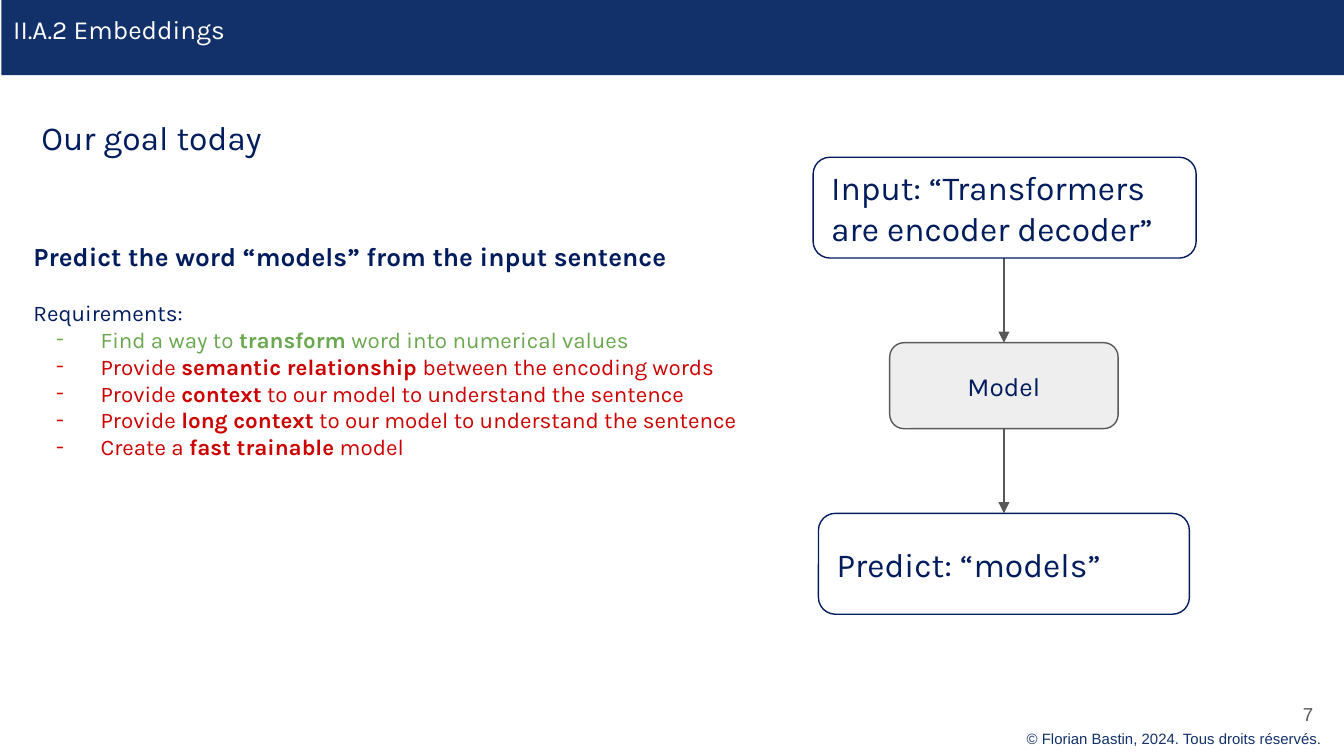
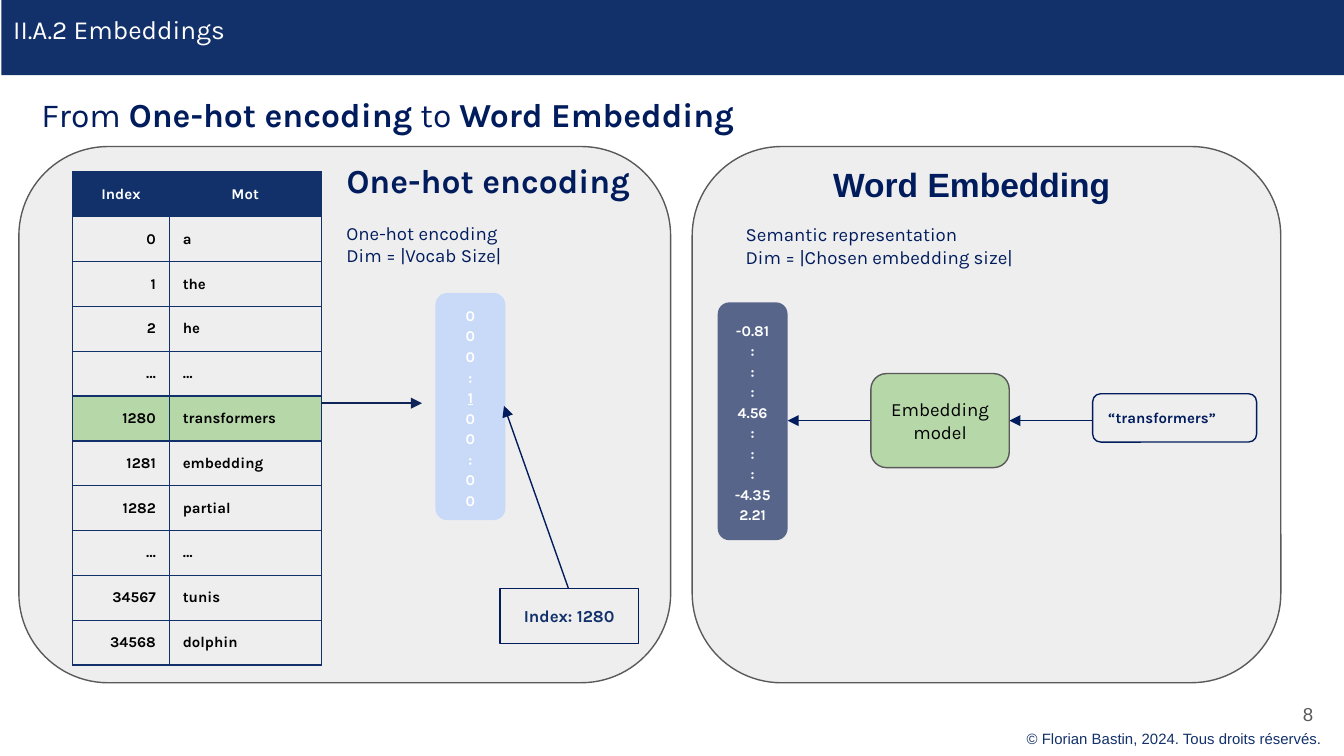
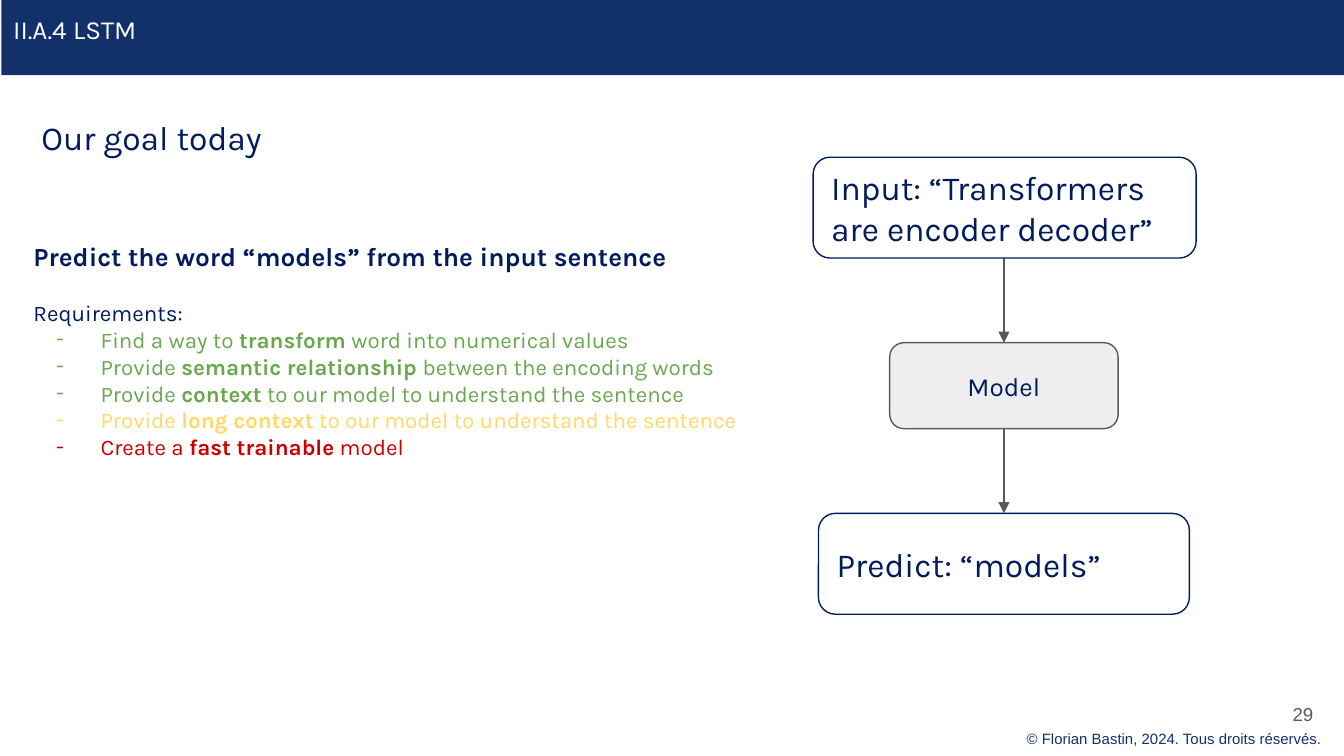
from lxml import etree
from pptx import Presentation
from pptx.dml.color import RGBColor
from pptx.enum.shapes import MSO_CONNECTOR, MSO_SHAPE
from pptx.enum.text import MSO_ANCHOR, PP_ALIGN
from pptx.oxml.ns import qn
from pptx.util import Inches, Pt

PX = 9144  # 100 px to the inch
SLIDE_WIDTH, SLIDE_HEIGHT = Inches(10), Inches(5.625)  # 16:9
MARGIN = 10
LINE_WIDTH = 0.75

BAND, NAVY, ARROW_NAVY = "12316A", "011C5D", "0E2356"
WHITE, BLACK, GRAY, PALE = "FFFFFF", "000000", "595959", "EEEEEE"
GREEN, YELLOW, RED = "6AA84F", "FFD966", "CC0000"
LIGHT_GREEN, LIGHT_BLUE, SLATE = "B6D7A8", "C9DAF8", "566589"

LEFT, CENTER, RIGHT = PP_ALIGN.LEFT, PP_ALIGN.CENTER, PP_ALIGN.RIGHT
TOP, MIDDLE = MSO_ANCHOR.TOP, MSO_ANCHOR.MIDDLE
ROUNDED, RECTANGLE = MSO_SHAPE.ROUNDED_RECTANGLE, MSO_SHAPE.RECTANGLE

# Content; **double stars** mark bold words
COPYRIGHT = "© Florian Bastin, 2024. Tous droits réservés."
GOAL = "Predict the word “models” from the input sentence"
REQUIREMENTS = [
    "Find a way to **transform** word into numerical values",
    "Provide **semantic relationship** between the encoding words",
    "Provide **context** to our model to understand the sentence",
    "Provide **long context** to our model to understand the sentence",
    "Create a **fast trainable** model",
]
VOCABULARY = [
    ("Index", "Mot"), ("0", "a"), ("1", "the"), ("2", "he"), ("…", "…"),
    ("1280", "transformers"), ("1281", "embedding"), ("1282", "partial"),
    ("…", "…"), ("34567", "tunis"), ("34568", "dolphin"),
]
CHOSEN_INDEX = "1280"
ONE_HOT_VECTOR = ["0", "0", "0", ":", "1", "0", "0", ":", "0", "0"]
EMBEDDING_VECTOR = ["-0.81", ":", ":", ":", "4.56", ":", ":", ":", "-4.35", "2.21"]


def rgb(color):
    return RGBColor.from_string(color)


def scaled(*lengths):
    return [length * PX for length in lengths]


# Text
def write_paragraph(paragraph, text, size, color=NAVY, bold=False, font="Karla", align=LEFT):
    paragraph.alignment = align
    paragraph.font.size = Pt(size)
    paragraph.font.name = font
    paragraph.font.color.rgb = rgb(color)
    paragraph.font.bold = bold
    for position, part in enumerate(text.split("**")):
        if part:
            run = paragraph.add_run()
            run.text = part
            if position % 2:
                run.font.bold = True


def prepare_frame(frame, anchor):
    frame.word_wrap = True
    frame.vertical_anchor = anchor
    frame.margin_left = frame.margin_right = frame.margin_top = MARGIN * PX
    # Text that starts at the top may run down to the lower edge
    frame.margin_bottom = 0 if anchor == TOP else MARGIN * PX


def write(shape, lines, size, anchor=MIDDLE, line_spacing=None, **style):
    frame = shape.text_frame
    prepare_frame(frame, anchor)
    for number, line in enumerate(lines):
        paragraph = frame.add_paragraph() if number else frame.paragraphs[0]
        if line_spacing:
            paragraph.line_spacing = line_spacing
        write_paragraph(paragraph, line, size, **style)


def add_text(slide, box, lines, size, anchor=TOP, **style):
    write(slide.shapes.add_textbox(*scaled(*box)), lines, size, anchor, **style)


def add_bullet(paragraph, color):
    properties = paragraph._p.get_or_add_pPr()
    properties.set("marL", str(50 * PX))
    properties.set("indent", str(-33 * PX))
    bullet_color = etree.SubElement(properties, qn("a:buClr"))
    etree.SubElement(bullet_color, qn("a:srgbClr"), val=color)
    etree.SubElement(properties, qn("a:buFont"), typeface="Karla")
    etree.SubElement(properties, qn("a:buChar"), char="-")


# Shapes and arrows
def add_box(slide, kind, box, fill=None, line=None):
    shape = slide.shapes.add_shape(kind, *scaled(*box))
    shape.shadow.inherit = False
    if fill:
        shape.fill.solid()
        shape.fill.fore_color.rgb = rgb(fill)
    else:
        shape.fill.background()
    if line:
        shape.line.color.rgb = rgb(line)
        shape.line.width = Pt(LINE_WIDTH)
    else:
        shape.line.fill.background()
    return shape


def add_arrow(slide, start, end, color=NAVY):
    arrow = slide.shapes.add_connector(MSO_CONNECTOR.STRAIGHT, *scaled(*start, *end))
    arrow.line.color.rgb = rgb(color)
    arrow.line.width = Pt(LINE_WIDTH)
    etree.SubElement(arrow.line._get_or_add_ln(), qn("a:tailEnd"), type="triangle")
    etree.SubElement(arrow._element.spPr, qn("a:effectLst"))


# Shared frame of every slide
def add_slide(presentation, title, number):
    slide = presentation.slides.add_slide(presentation.slide_layouts[6])
    add_box(slide, RECTANGLE, (1, 0, 999, 56), BAND)
    add_text(slide, (754, 533, 242, 30), [COPYRIGHT], 8, color=BAND, font="Arial")
    add_text(slide, (927, 510, 60, 43), [str(number)], 10, MIDDLE,
             color=GRAY, font="Arial", align=RIGHT)
    add_text(slide, (0, 0, 831, 56), [title], 14, color=WHITE)
    return slide


def add_subtitle(slide, top, text):
    add_text(slide, (21, top, 656, 66), [text], 18, MIDDLE)


# Goal slides
def add_requirements(slide, colors):
    frame = slide.shapes.add_textbox(*scaled(15, 169, 549, 224)).text_frame
    prepare_frame(frame, TOP)
    write_paragraph(frame.paragraphs[0], GOAL, 14, bold=True)
    heading = frame.add_paragraph()
    heading.space_before = Pt(14.5)
    write_paragraph(heading, "Requirements:", 12)
    for requirement, color in zip(REQUIREMENTS, colors):
        paragraph = frame.add_paragraph()
        add_bullet(paragraph, color)
        write_paragraph(paragraph, requirement, 12, color)


def add_model_flow(slide):
    center = 747
    for top, bottom in ((192, 255), (319, 382)):
        add_arrow(slide, (center, top), (center, bottom), GRAY)
    model = add_box(slide, ROUNDED, (662, 255, 170, 64), PALE, GRAY)
    write(model, ["Model"], 14, align=CENTER)
    for box, text in (
        ((605, 117, 285, 75), "Input: “Transformers are encoder decoder”"),
        ((609, 382, 276, 75), "Predict: “models”"),
    ):
        write(add_box(slide, ROUNDED, box, line=NAVY), [text], 18)


def add_goal_slide(presentation, title, number, colors):
    slide = add_slide(presentation, title, number)
    add_subtitle(slide, 69, "Our goal today")
    add_requirements(slide, colors)
    add_model_flow(slide)


# Embedding slide
def style_cell(cell, fill):
    properties = cell._tc.get_or_add_tcPr()
    for side in ("lnL", "lnR", "lnT", "lnB"):
        border = etree.SubElement(properties, qn(f"a:{side}"), w=str(Pt(LINE_WIDTH)))
        border_fill = etree.SubElement(border, qn("a:solidFill"))
        etree.SubElement(border_fill, qn("a:srgbClr"), val=BAND)
    if fill:
        cell.fill.solid()
        cell.fill.fore_color.rgb = rgb(fill)
    else:
        cell.fill.background()
    cell.vertical_anchor = MIDDLE
    cell.margin_left = cell.margin_right = MARGIN * PX
    cell.margin_top = cell.margin_bottom = MARGIN * PX


def add_vocabulary(slide):
    widths, header_height, row_height = (72, 113), 32, 33
    height = header_height + row_height * (len(VOCABULARY) - 1)
    table = slide.shapes.add_table(
        len(VOCABULARY), len(widths), *scaled(54, 128, sum(widths), height)).table
    for column, width in zip(table.columns, widths):
        column.width = width * PX
    for row_number, words in enumerate(VOCABULARY):
        is_header = row_number == 0
        table.rows[row_number].height = (header_height if is_header else row_height) * PX
        fill = BAND if is_header else LIGHT_GREEN if words[0] == CHOSEN_INDEX else None
        for column_number, word in enumerate(words):
            cell = table.cell(row_number, column_number)
            style_cell(cell, fill)
            align = CENTER if is_header else (RIGHT, LEFT)[column_number]
            write_paragraph(cell.text_frame.paragraphs[0], word, 8,
                            WHITE if is_header else BLACK, True, align=align)


def add_vector(slide, box, fill, values):
    vector = add_box(slide, ROUNDED, box, fill)
    write(vector, values, 8, line_spacing=1.15, color=WHITE, bold=True, align=CENTER)
    return vector


def add_embedding_slide(presentation, title, number):
    slide = add_slide(presentation, title, number)
    for left, width in ((14, 485), (515, 438)):
        add_box(slide, ROUNDED, (left, 109, width, 399), PALE, GRAY)
    add_subtitle(slide, 52, "From **One-hot encoding** to **Word Embedding**")

    # One-hot side
    add_vocabulary(slide)
    add_arrow(slide, (239, 300), (314, 300), ARROW_NAVY)
    one_hot = add_vector(slide, (324, 218, 52, 169), LIGHT_BLUE, ONE_HOT_VECTOR)
    hot_paragraph = one_hot.text_frame.paragraphs[ONE_HOT_VECTOR.index("1")]
    hot_paragraph.runs[0].font.underline = True
    index_box = add_box(slide, RECTANGLE, (372, 438, 103, 41), line=NAVY)
    write(index_box, [f"Index: {CHOSEN_INDEX}"], 9, color=BAND, bold=True, align=CENTER)
    add_arrow(slide, (423, 438), (375, 302))

    # Embedding side, read from right to left
    add_vector(slide, (534, 225, 52, 177), SLATE, EMBEDDING_VECTOR)
    for start, end in ((813, 751), (648, 586)):
        add_arrow(slide, (start, 313), (end, 313))
    model = add_box(slide, ROUNDED, (648, 278, 103, 70), LIGHT_GREEN, GRAY)
    write(model, ["Embedding model"], 10, color=BLACK, align=CENTER)
    word = add_box(slide, ROUNDED, (813, 293, 122, 36), PALE, NAVY)
    write(word, ["“transformers”"], 8, bold=True)

    # Headings and dimensions
    add_text(slide, (248, 109, 268, 36), ["One-hot encoding"], 18, bold=True)
    add_text(slide, (610, 112, 268, 36), ["Word Embedding"], 18, bold=True, font="Arial")
    add_text(slide, (248, 155, 216, 61), ["One-hot encoding", "Dim = |Vocab Size|"], 10)
    add_text(slide, (545, 156, 252, 61),
             ["Semantic representation", "Dim = |Chosen embedding size|"], 10)


def main():
    presentation = Presentation()
    presentation.slide_width = SLIDE_WIDTH
    presentation.slide_height = SLIDE_HEIGHT
    add_goal_slide(presentation, "II.A.2 Embeddings", 7, [GREEN] + [RED] * 4)
    add_embedding_slide(presentation, "II.A.2 Embeddings", 8)
    add_goal_slide(presentation, "II.A.4 LSTM", 29, [GREEN] * 3 + [YELLOW, RED])
    presentation.save("out.pptx")


if __name__ == "__main__":
    main()
